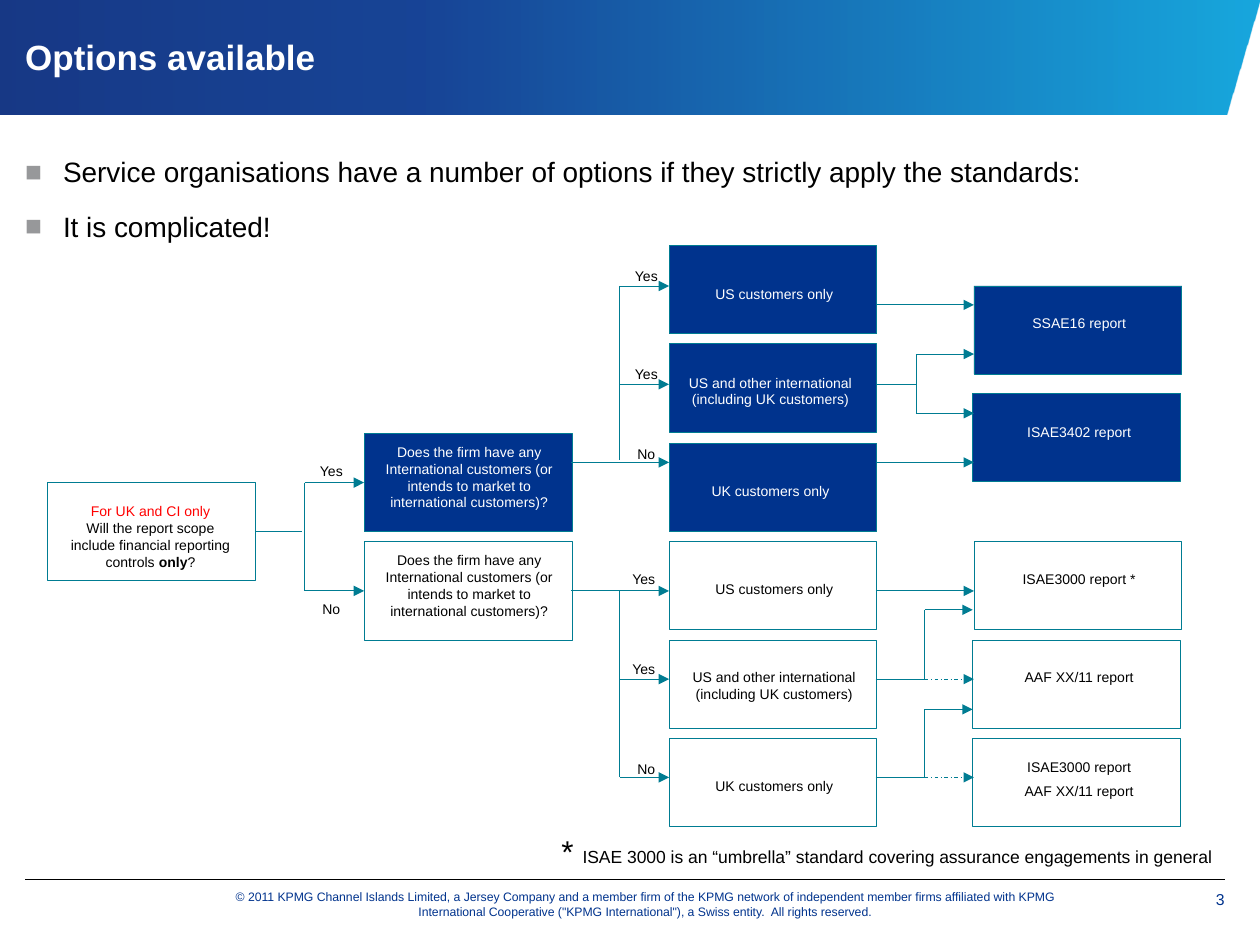
from lxml.etree import SubElement
from pptx import Presentation
from pptx.dml.color import RGBColor as RGB
from pptx.enum.dml import MSO_LINE as Dash
from pptx.enum.shapes import MSO_CONNECTOR as Conn, MSO_SHAPE as Shape
from pptx.enum.text import MSO_ANCHOR as Anchor, MSO_AUTO_SIZE as Auto, PP_ALIGN as Align
from pptx.oxml.ns import qn
from pptx.util import Pt

PX = 9144  # 100 px to the inch
INK = {"navy": "00338D", "deep": "00257A", "sky": "009FDA", "teal": "007C92",
       "white": "FFFFFF", "black": "000000", "red": "FF0000", "grey": "97989A"}

deck = Presentation()
deck.slide_width, deck.slide_height = 1000 * PX, 750 * PX
slide = deck.slides.add_slide(deck.slide_layouts[1])
shapes = slide.shapes
title, body = slide.placeholders


def fill_text(box, paras, align=Align.CENTER, inset=(0, 0, 0, 0), gap=0, **frame):
    """Fill a box with paragraphs, each a list of (text, colour, size, bold) runs."""
    text = box.text_frame
    sides = ("left", "top", "right", "bottom")
    form = {"word_wrap": True, "auto_size": Auto.NONE, "vertical_anchor": Anchor.TOP}
    form.update({f"margin_{side}": n * PX for side, n in zip(sides, inset)})
    for key, val in {**form, **frame}.items():
        setattr(text, key, val)
    for i, runs in enumerate(paras):
        para = text.add_paragraph() if i else text.paragraphs[0]
        para.alignment = align
        para.space_before = Pt(gap if i else 0)
        for words, ink, size, bold in runs:
            run = para.add_run()
            run.text = words
            for key, val in {"name": "Arial", "size": Pt(size), "bold": bold}.items():
                setattr(run.font, key, val)
            run.font.color.rgb = RGB.from_string(INK[ink])


def add_wire(start, end, ink="teal", width=0.5, arrow=False, dash=None):
    wire = shapes.add_connector(Conn.STRAIGHT, *[n * PX for n in start + end])
    wire.line.color.rgb = RGB.from_string(INK[ink])
    wire.line.width = Pt(width)
    if dash:
        wire.line.dash_style = dash
    if arrow:
        SubElement(wire.line._get_or_add_ln(), qn("a:tailEnd"), type="triangle")
    SubElement(wire._element.spPr, qn("a:effectLst"))
    return wire


# Header band, rule and footer
pen = shapes.build_freeform(0, 0, scale=PX)
pen.add_line_segments([(0, 91), (973, 91), (1000, 0)], close=True)
band = pen.convert_to_shape()
band.shadow.inherit = False
band.line.fill.background()
band.fill.gradient()
band.fill.gradient_angle = 0
stops = next(band._element.iter(qn("a:gsLst")))
for stop in list(stops):
    stops.remove(stop)
for pos, ink in ((0, "deep"), (35, "navy"), (100, "sky")):
    stop = SubElement(stops, qn("a:gs"), pos=str(pos * 1000))
    color = SubElement(stop, qn("a:srgbClr"), val=INK[ink])
    SubElement(color, qn("a:alpha"), val="90000")

add_wire((20, 698), (972, 698), "black", 0.25)
legal = ("© 2011 KPMG Channel Islands Limited, a Jersey Company and a member firm of the "
         "KPMG network of independent member firms affiliated with KPMG International "
         "Cooperative (\"KPMG International\"), a Swiss entity.  All rights reserved.")
for spot, words, size, align, inset in (
        ((917, 698, 55, 31), "3", 9, Align.RIGHT, (8, 8, 0, 0)),
        ((172, 698, 680, 32), legal, 7, Align.CENTER, (0, 8, 0, 0))):
    box = shapes.add_textbox(*[n * PX for n in spot])
    fill_text(box, [[(words, "navy", size, False)]], align, inset)

# Title and bullets, brought in front of the band
for holder, spot in ((title, (20, 13, 953, 63)), (body, (20, 123, 953, 564))):
    holder.left, holder.top, holder.width, holder.height = [n * PX for n in spot]
    shapes._spTree.append(holder._element)
fill_text(title, [[("Options available", "white", 20, True)]], Align.LEFT,
          vertical_anchor=Anchor.MIDDLE)
points = ["Service organisations have a number of options if they strictly apply the standards:",
          "It is complicated!"]
fill_text(body, [[(point, "black", 16, False)] for point in points], Align.LEFT, gap=12)
for para in body.text_frame.paragraphs:
    para.level = 1
    props = para._p.get_or_add_pPr()
    props.set("marL", str(30 * PX))
    props.set("indent", str(-30 * PX))
    SubElement(SubElement(props, qn("a:buClr")), qn("a:srgbClr"), val=INK["grey"])
    SubElement(props, qn("a:buFont"), typeface="Arial")
    SubElement(props, qn("a:buChar"), char="■")

# Flow boxes: left, top, height, fill, text left, text top, text height, lines
ask = ["Does the firm have any International customers (or intends to market to "
       "international customers)?"]
us, mix, uk = ["US customers only"], [
    "US and other international (including UK customers)"], ["UK customers only"]
boxes = [
    (38, 383, 78, "white", 52, 399, 54, None),
    (289, 344, 78, "navy", 305, 352, 54, ask),
    (289, 430, 78, "white", 305, 438, 54, ask),
    (531, 195, 70, "navy", 547, 227, 14, us),
    (531, 273, 70, "navy", 544, 297, 27, mix),
    (531, 352, 70, "navy", 544, 383, 14, uk),
    (531, 430, 70, "white", 547, 461, 14, us),
    (531, 508, 70, "white", 547, 531, 27, mix),
    (531, 586, 70, "white", 547, 617, 14, uk),
    (773, 227, 70, "navy", 789, 250, 13, ["SSAE16 report"]),
    (772, 312, 70, "navy", 789, 336, 13, ["ISAE3402 report"]),
    (773, 430, 70, "white", 789, 453, 13, ["ISAE3000 report *"]),
    (772, 508, 70, "white", 789, 531, 13, ["AAF XX/11 report"]),
    (772, 586, 70, "white", 789, 602, 34, ["ISAE3000 report", "AAF XX/11 report"]),
]
scope = [[("For UK and CI only", "red", 8, False)],
         [("Will the report scope include financial reporting controls ", "black", 8, False),
          ("only", "black", 8, True), ("?", "black", 8, False)]]
ports = {}
for left, top, high, fill, tx, ty, th, lines in boxes:
    rect = shapes.add_shape(Shape.RECTANGLE, left * PX, top * PX, 165 * PX, high * PX)
    rect.shadow.inherit = False
    rect.fill.solid()
    rect.fill.fore_color.rgb = RGB.from_string(INK[fill])
    rect.line.color.rgb = RGB.from_string(INK["teal"])
    rect.line.width = Pt(0.5)
    ports[left, top + high // 2] = rect, 1
    ports[left + 165, top + high // 2] = rect, 3
    ink = "white" if fill == "navy" else "black"
    paras = [[(line, ink, 8, False)] for line in lines] if lines else scope
    box = shapes.add_textbox(tx * PX, ty * PX, 135 * PX, th * PX)
    fill_text(box, paras, gap=4 if lines else 0, auto_size=Auto.SHAPE_TO_FIT_TEXT)

# Plain stems, then arrows running left to right: (from x, to x, y)
stems = [((203, 422), (240, 422)), ((242, 383), (242, 469)),
         ((492, 227), (492, 365)), ((492, 469), (492, 617)),
         ((695, 305), (727, 305)), ((727, 281), (727, 328)),
         ((695, 539), (734, 539)), ((734, 484), (734, 539)),
         ((695, 617), (734, 617)), ((734, 563), (734, 617))]
arrows = [(242, 289, 383), (242, 289, 469), (453, 531, 367), (453, 531, 469),
          (492, 531, 227), (492, 531, 305), (492, 531, 539), (492, 531, 617),
          (695, 773, 242), (695, 773, 367), (695, 773, 469),
          (727, 773, 281), (727, 773, 328), (734, 772, 484), (734, 772, 563)]
dashed = [(734, 773, 539), (734, 773, 617)]
links = [(start, end, {}) for start, end in stems]
links += [((a, y), (b, y), {"arrow": True}) for a, b, y in arrows]
links += [((a, y), (b, y), {"arrow": True, "dash": Dash.DASH_DOT}) for a, b, y in dashed]
for start, end, form in links:
    wire = add_wire(start, end, **form)
    if start in ports:
        wire.begin_connect(*ports[start])
    if end in ports:
        wire.end_connect(*ports[end])

# Branch answers
for left, top, word in ((229, 367, "Yes"), (229, 477, "No"),
                        (479, 212, "Yes"), (479, 290, "Yes"), (479, 354, "No"),
                        (477, 453, "Yes"), (477, 524, "Yes"), (479, 604, "No")):
    box = shapes.add_textbox(left * PX, top * PX, 68 * PX, 14 * PX)
    fill_text(box, [[(word, "black", 8, False)]], auto_size=Auto.SHAPE_TO_FIT_TEXT)

note = shapes.add_textbox(383 * PX, 664 * PX, 641 * PX, 23 * PX)
fill_text(note, [[("* ", "black", 18, False),
                  ("ISAE 3000 is an “umbrella” standard covering assurance engagements "
                   "in general", "black", 10, False)]],
          inset=(10, 5, 10, 5), vertical_anchor=Anchor.MIDDLE)

deck.save("out.pptx")
